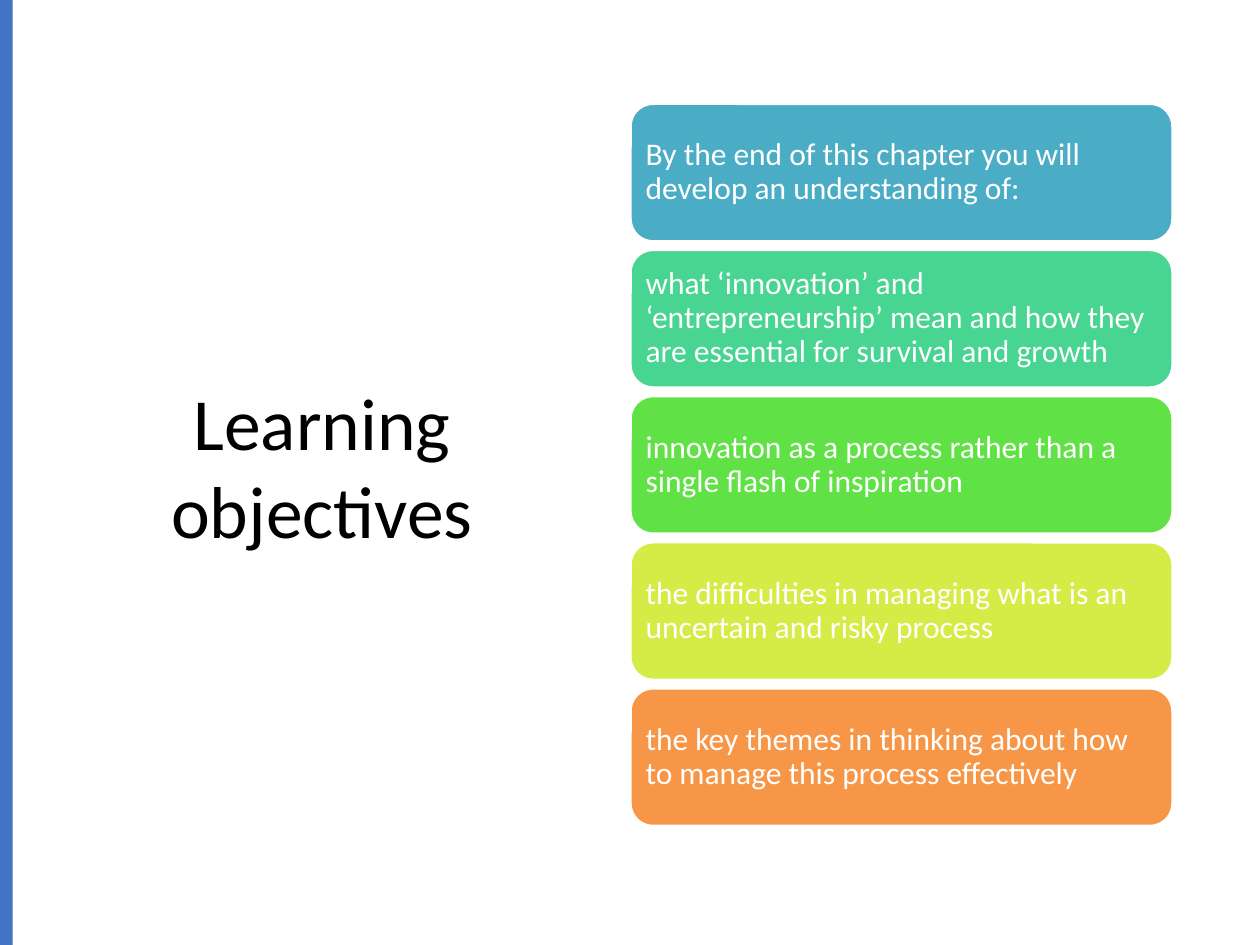
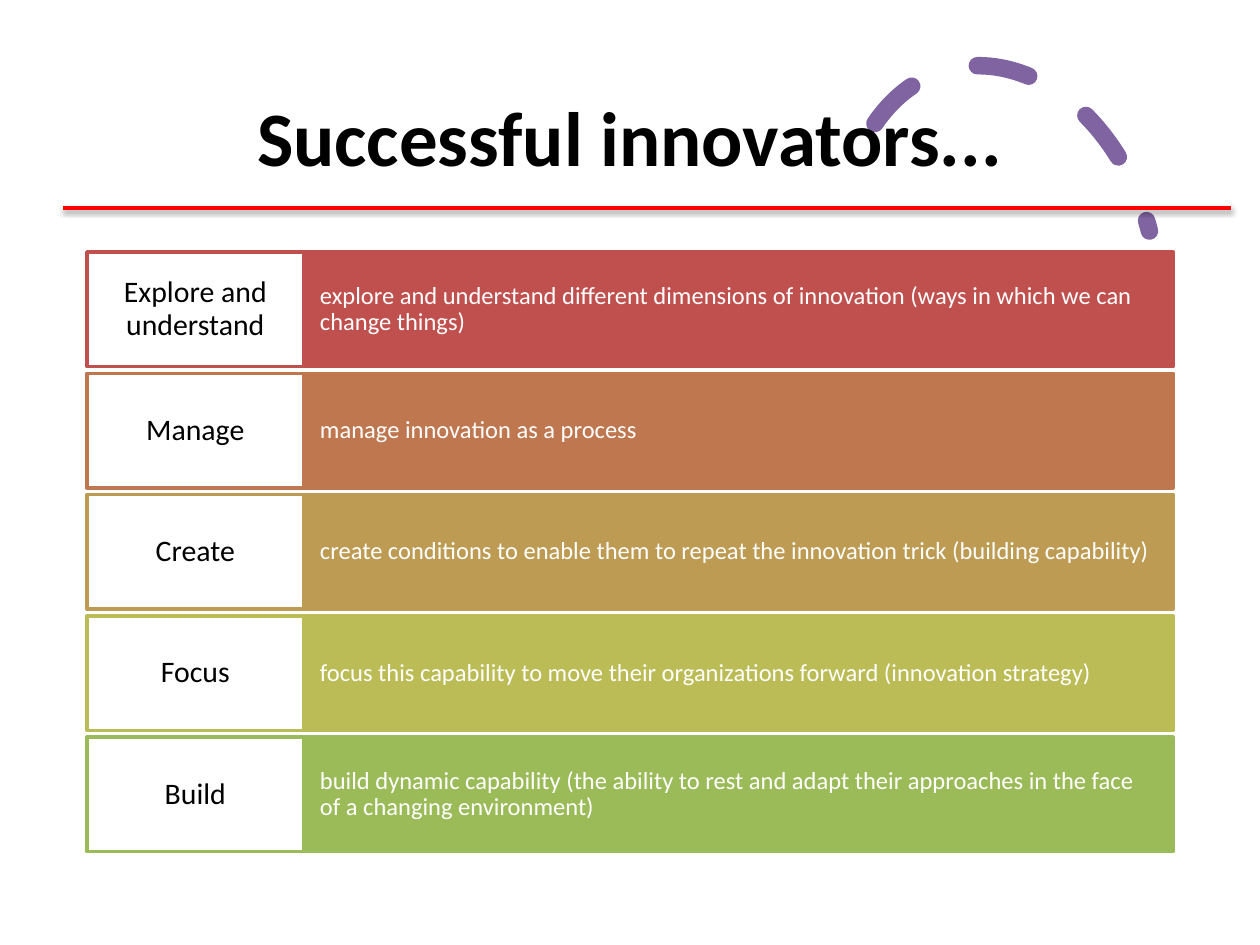
from lxml import etree
from pptx import Presentation
from pptx.dml.color import RGBColor
from pptx.enum.dml import MSO_LINE
from pptx.enum.shapes import MSO_CONNECTOR, MSO_SHAPE as SHAPE
from pptx.enum.text import MSO_ANCHOR, MSO_AUTO_SIZE, PP_ALIGN as ALIGN
from pptx.oxml import parse_xml
from pptx.oxml.ns import nsdecls
from pptx.util import Inches, Pt

# Content
OBJECTIVES_TITLE = "Learning objectives"
OBJECTIVES = [
    ("By the end of this chapter you will develop an understanding of:", "blue"),
    ("what ‘innovation’ and ‘entrepreneurship’ mean and how they are essential "
     "for survival and growth", "mint"),
    ("innovation as a process rather than a single flash of inspiration", "green"),
    ("the difficulties in managing what is an uncertain and risky process", "lime"),
    ("the key themes in thinking about how to manage this process effectively", "orange"),
]
INNOVATORS_TITLE = "Successful innovators..."
INNOVATORS = [
    ("Explore and understand", "explore and understand different dimensions of "
     "innovation (ways in which we can change things)", "red"),
    ("Manage", "manage innovation as a process", "rust"),
    ("Create", "create conditions to enable them to repeat the innovation trick "
     "(building capability)", "ochre"),
    ("Focus", "focus this capability to move their organizations forward "
     "(innovation strategy)", "olive"),
    ("Build", "build dynamic capability (the ability to rest and adapt their "
     "approaches in the face of a changing environment)", "leaf"),
]

# Shared style
FONT = "Calibri"
COLORS = {
    "black": "000000", "white": "FFFFFF", "side bar": "4472C4", "rule": "FF0000",
    "arc": "8064A2",
    "blue": "4BACC6", "mint": "48D491", "green": "60E146", "lime": "D5EC46",
    "orange": "F79646",
    "red": "C0504D", "rust": "BF7750", "ochre": "BD9B53", "olive": "BCBC56",
    "leaf": "9BBB59",
}
WIDTH, HEIGHT = 10, 7.5
RIGHT = 9.31
TITLE_ONLY = 5


def rgb(name):
    return RGBColor.from_string(COLORS[name])


def write(shape, text, size, color, align, spacing=0.9, bold=False, inset=(0.1, 0.05)):
    tf = shape.text_frame
    tf.word_wrap = True
    tf.auto_size = MSO_AUTO_SIZE.NONE
    tf.vertical_anchor = MSO_ANCHOR.MIDDLE
    tf.margin_left = tf.margin_right = Inches(inset[0])
    tf.margin_top = tf.margin_bottom = Inches(inset[1])
    p = tf.paragraphs[0]
    p.text = text
    p.alignment = align
    p.line_spacing = spacing
    p.font.name, p.font.size, p.font.bold = FONT, Pt(size), bold
    p.font.color.rgb = rgb(color)


def add_title_slide(prs, text, box, size, **style):
    s = prs.slides.add_slide(prs.slide_layouts[TITLE_ONLY])
    title = s.shapes.title
    title.left, title.top, title.width, title.height = map(Inches, box)
    write(title, text, size, "black", ALIGN.CENTER, **style)
    return s


def add_box(s, kind, box, fill=None, line=None, weight=2):
    sp = s.shapes.add_shape(kind, *map(Inches, box))
    sp.shadow.inherit = False
    if fill:
        sp.fill.solid()
        sp.fill.fore_color.rgb = rgb(fill)
    else:
        sp.fill.background()
    if line:
        sp.line.color.rgb = rgb(line)
        sp.line.width = Pt(weight)
    else:
        sp.line.fill.background()
    return sp


def stack(top, bottom, height, count):
    """Tops of equal boxes spread evenly from top to bottom."""
    pitch = (bottom - top - height) / (count - 1)
    return [top + i * pitch for i in range(count)]


def build_objectives(prs):
    s = add_title_slide(prs, OBJECTIVES_TITLE, (0.43, 0.68, 4.25, 6.02), 42, spacing=1.0)
    add_box(s, SHAPE.RECTANGLE, (0, 0, WIDTH / 100, HEIGHT), "side bar")

    # Objective cards
    left, height = WIDTH / 2, 1.1
    tops = stack(0.82, 6.56, height, len(OBJECTIVES))
    for top, (text, color) in zip(tops, OBJECTIVES):
        card = add_box(s, SHAPE.ROUNDED_RECTANGLE, (left, top, RIGHT - left, height),
                       color, "white")
        write(card, text, 18, "white", ALIGN.LEFT, inset=(0.07, 0.07))


def build_innovators(prs):
    left, split, height = 0.69, 2.41, 0.91
    s = add_title_slide(prs, INNOVATORS_TITLE, (left, 0.4, RIGHT - left, 1.45), 44, bold=True)

    # Dashed arc behind the title
    arc = add_box(s, SHAPE.ARC, (6.71, 0.5, 2.45, 3.27), line="arc", weight=10)
    arc.adjustments[0], arc.adjustments[1] = 146.129, 0
    arc.rotation = 345.8
    arc.line.dash_style = MSO_LINE.DASH
    arc.line._ln.set("cap", "rnd")
    s.shapes.title._element.addprevious(arc._element)

    # Rule with a soft shadow
    rule = s.shapes.add_connector(MSO_CONNECTOR.STRAIGHT, Inches(0.5), Inches(1.65),
                                  Inches(9.77), Inches(1.65))
    rule.line.color.rgb = rgb("rule")
    rule.line.width = Pt(2)
    effects = parse_xml(f"<a:effectLst {nsdecls('a')}/>")
    shadow = etree.SubElement(effects, effects.tag.replace("effectLst", "outerShdw"),
                              blurRad=str(Pt(3.1)), dist=str(Pt(1.6)),
                              dir="5400000", rotWithShape="0")
    black = etree.SubElement(shadow, effects.tag.replace("effectLst", "srgbClr"),
                             val=COLORS["black"])
    etree.SubElement(black, effects.tag.replace("effectLst", "alpha"), val="38000")
    rule._element.spPr.append(effects)

    # Rows: label on the left, description on the right
    tops = stack(2, 6.76, height, len(INNOVATORS))
    for top, (label, text, color) in zip(tops, INNOVATORS):
        band = add_box(s, SHAPE.RECTANGLE, (split, top, RIGHT - split, height), color, color)
        write(band, text, 14, "white", ALIGN.LEFT, inset=(0.13, 0.23))
        tag = add_box(s, SHAPE.RECTANGLE, (left, top, split - left, height), "white", color)
        write(tag, label, 17, "black", ALIGN.CENTER, inset=(0.09, 0.09))


def main():
    prs = Presentation()
    prs.slide_width, prs.slide_height = Inches(WIDTH), Inches(HEIGHT)
    build_objectives(prs)
    build_innovators(prs)
    prs.save("out.pptx")


if __name__ == "__main__":
    main()
